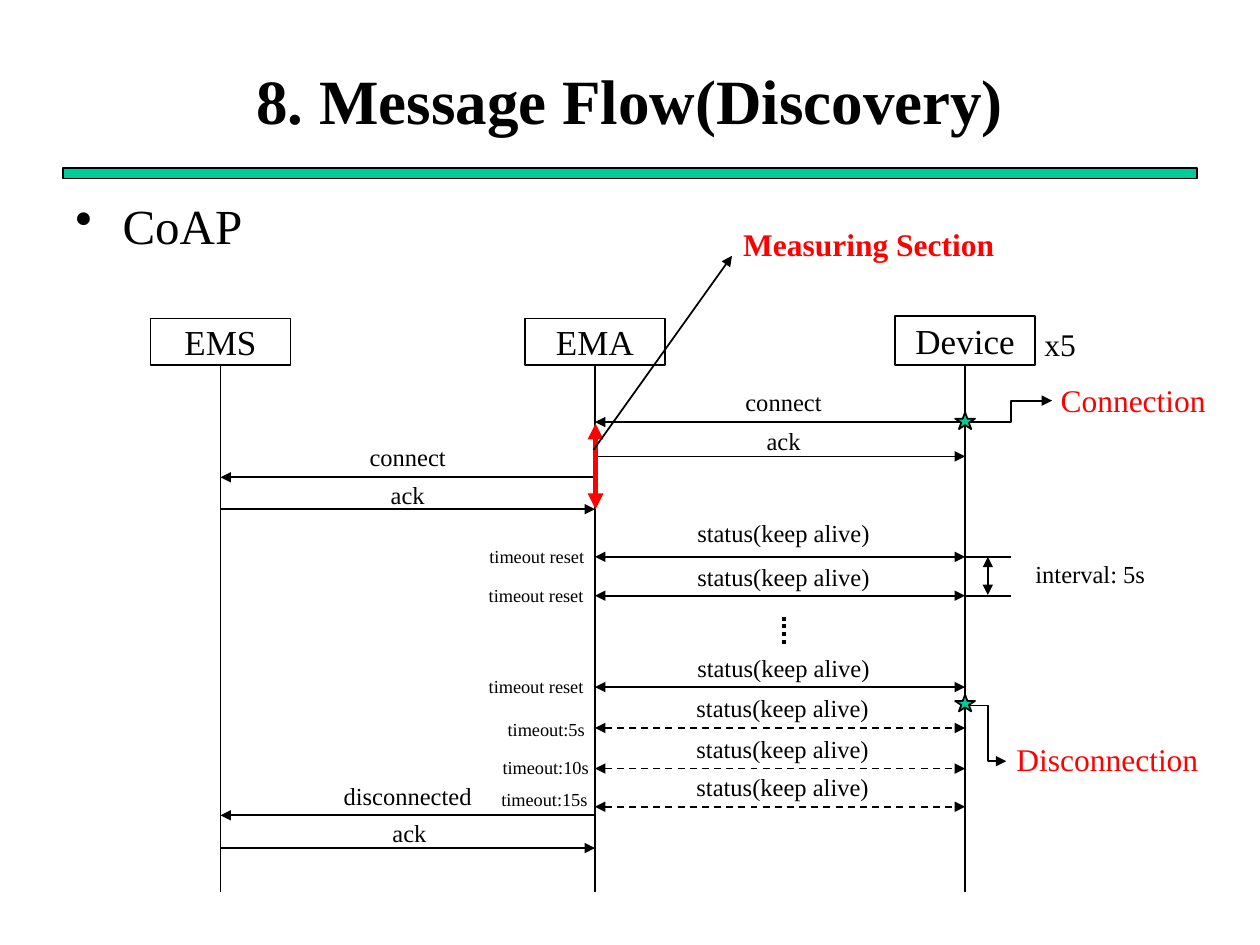
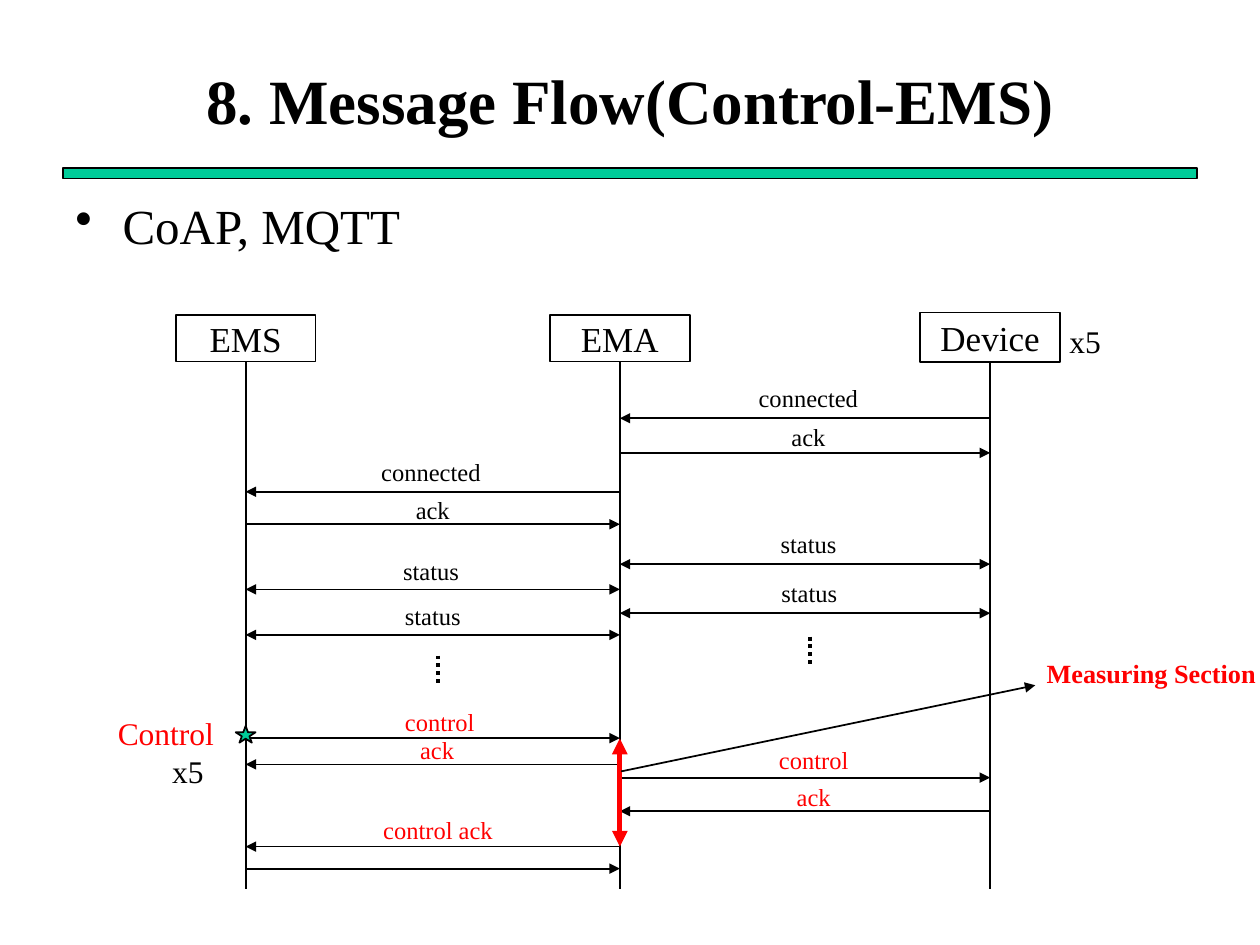
from lxml import etree
from pptx import Presentation
from pptx.dml.color import RGBColor
from pptx.enum.dml import MSO_LINE
from pptx.enum.shapes import MSO_CONNECTOR, MSO_SHAPE
from pptx.enum.text import MSO_ANCHOR, MSO_AUTO_SIZE, PP_ALIGN
from pptx.oxml.ns import qn
from pptx.util import Pt

STRAIGHT, ELBOW = MSO_CONNECTOR.STRAIGHT, MSO_CONNECTOR.ELBOW
DASH, DOTS = MSO_LINE.DASH, MSO_LINE.ROUND_DOT
RECTANGLE, STAR = MSO_SHAPE.RECTANGLE, MSO_SHAPE.STAR_5_POINT
LEFT, CENTER = PP_ALIGN.LEFT, PP_ALIGN.CENTER
MIDDLE, FIT_TEXT = MSO_ANCHOR.MIDDLE, MSO_AUTO_SIZE.SHAPE_TO_FIT_TEXT

FONT = "Times New Roman"
BLACK, WHITE, RED, GREEN = "000000", "FFFFFF", "FF0000", "00CC99"

# Line styles: colour, width, dash, arrow at start, arrow at end
LINE_STYLES = {
    "plain": (BLACK, 1, None, False, False),
    "one way": (BLACK, 1, None, False, True),
    "both ways": (BLACK, 1, None, True, True),
    "lost": (BLACK, 1, DASH, True, True),
    "more": (BLACK, 2.25, DOTS, False, False),
    "measured": (RED, 3, None, True, True),
}

# Actors: name, top and height of the box, fill
ACTORS = [("EMS", 182, 26.6, None), ("EMA", 182, 26.6, None), ("Device", 180.6, 28.2, WHITE)]
EMS, EMA, DEVICE = range(3)
ACTOR_WIDTH = 80
LIFELINE_TOP, LIFELINE_BOTTOM = 208.8, 510
LABEL_WIDTHS = {
    "connect": 58.3, "connected": 72, "ack": 34.6, "status": 46.8, "status(keep alive)": 113.8,
    "disconnected": 88.6, "control": 54.7, "control ack": 77.8,
}

# Messages: sender, receiver, y, line style, label, label top, label colour, label shift
# Notes: text, left, top, width, height, size, colour, bold
DISCOVERY = {
    "title": "8. Message Flow(Discovery)",
    "protocols": "CoAP",
    "lifelines": (126, 340, 551.5),
    "rise": 0,
    "messages": [
        (DEVICE, EMA, 241.2, "one way", "connect", 217.4, BLACK, 2),
        (EMA, DEVICE, 260.8, "one way", "ack", 239.8, BLACK, 2),
        (EMA, EMS, 272.8, "one way", "connect", 249.1, BLACK, 0),
        (EMS, EMA, 291, "one way", "ack", 270.7, BLACK, 0),
        (EMA, DEVICE, 318.2, "both ways", "status(keep alive)", 292.3, BLACK, 2),
        (EMA, DEVICE, 340.4, "both ways", "status(keep alive)", 317.5, BLACK, 2),
        (EMA, DEVICE, 392.6, "both ways", "status(keep alive)", 369.4, BLACK, 2),
        (EMA, DEVICE, 416, "lost", "status(keep alive)", 392.4, BLACK, 1.5),
        (EMA, DEVICE, 439.2, "lost", "status(keep alive)", 416, BLACK, 1.5),
        (EMA, DEVICE, 461, "lost", "status(keep alive)", 437.8, BLACK, 1.5),
        (EMA, EMS, 465.9, "one way", "disconnected", 442.8, BLACK, 0),
        (EMS, EMA, 484.6, "one way", "ack", 463.7, BLACK, 1),
    ],
    "lines": [
        ("plain", 551.5, 318.2, 577.6, 318.2),
        ("plain", 551.5, 340.4, 577.6, 340.4),
        ("both ways", 564.5, 318.2, 564.5, 340),
        ("more", 447.8, 352.4, 447.8, 369),
        ("measured", 340.3, 242, 340.3, 291),
        ("one way", 339.2, 257, 418.3, 146.2),
    ],
    "elbows": [(554.4, 241.2, 601.2, 229), (554, 403.2, 575, 435)],
    "stars": [(551.5, 240.4), (551.5, 401.7)],
    "notes": [
        ("x5", 589.7, 182.2, 32.4, 29, 18, BLACK, False),
        ("Connection", 599, 214, 98.6, 29, 18, RED, False),
        ("Disconnection", 573.8, 419.4, 119.5, 29, 18, RED, False),
        ("Measuring Section", 417.6, 125.3, 159, 29, 18, RED, True),
        ("interval: 5s", 584.6, 315.6, 77.8, 24.4, 14, BLACK, False),
        ("timeout reset", 272.6, 308.2, 72, 20.5, 10.5, BLACK, False),
        ("timeout reset", 272.2, 330, 72, 20.5, 10.5, BLACK, False),
        ("timeout reset", 272.2, 382.5, 72, 20.5, 10.5, BLACK, False),
        ("timeout:5s", 283, 406.8, 59, 20.5, 10.5, BLACK, False),
        ("timeout:10s", 280.1, 428.4, 64, 20.5, 10.5, BLACK, False),
        ("timeout:15s", 279.4, 447, 64, 20.5, 10.5, BLACK, False),
    ],
}

CONTROL = {
    "title": "8. Message Flow(Control-EMS)",
    "protocols": "CoAP, MQTT",
    "lifelines": (140.4, 354.2, 565.8),
    "rise": 2,
    "messages": [
        (DEVICE, EMA, 239, "one way", "connected", 215.3, BLACK, 2),
        (EMA, DEVICE, 258.8, "one way", "ack", 237.6, BLACK, 2),
        (EMA, EMS, 281, "one way", "connected", 257.8, BLACK, -1),
        (EMS, EMA, 299.6, "one way", "ack", 279.2, BLACK, 0),
        (EMA, DEVICE, 322.4, "both ways", "status", 298.8, BLACK, 2),
        (EMS, EMA, 336.8, "both ways", "status", 313.9, BLACK, -1),
        (EMA, DEVICE, 350.4, "both ways", "status", 326.9, BLACK, 2.5),
        (EMS, EMA, 362.8, "both ways", "status", 339.8, BLACK, 0),
        (EMS, EMA, 421.8, "one way", "control", 400.3, RED, 4),
        (EMA, EMS, 436.8, "one way", "ack", 416.2, RED, 2.5),
        (EMA, DEVICE, 444.4, "one way", "control", 422, RED, 5),
        (DEVICE, EMA, 463.6, "one way", "ack", 443.5, RED, 5),
        (EMA, EMS, 483.8, "one way", "control ack", 462.2, RED, 3),
        (EMS, EMA, 496.4, "one way", None, None, None, 0),
    ],
    "lines": [
        ("more", 463, 363.8, 463, 380.8),
        ("more", 250.4, 374.6, 250.4, 391.6),
        ("measured", 354.2, 422, 354.2, 483.8),
        ("one way", 355, 440.8, 591.6, 391.6),
    ],
    "elbows": [],
    "stars": [(140.4, 419.6)],
    "notes": [
        ("x5", 604, 180.3, 32.4, 29, 18, BLACK, False),
        ("Control", 60.2, 404.2, 70, 29, 18, RED, False),
        ("x5", 91.3, 426.3, 32.4, 29, 18, BLACK, False),
        ("Measuring Section", 591, 372.2, 135.4, 25.2, 15, RED, True),
    ],
}


def rgb(value):
    return RGBColor.from_string(value)


def style_paragraph(frame, text, size, color=BLACK, bold=False, align=LEFT):
    paragraph = frame.paragraphs[0]
    paragraph.text = text
    paragraph.alignment = align
    font = paragraph.font
    font.name, font.size, font.bold = FONT, Pt(size), bold
    font.color.rgb = rgb(color)
    return paragraph


def add_text(slide, text, left, top, width, height, size, color=BLACK, bold=False, align=LEFT):
    """One-line text whose box fits its words."""
    frame = slide.shapes.add_textbox(Pt(left), Pt(top), Pt(width), Pt(height)).text_frame
    frame.word_wrap = False
    frame.auto_size = FIT_TEXT
    style_paragraph(frame, text, size, color, bold, align)


def add_outlined(slide, preset, left, top, width, height, fill, line_width=1):
    shape = slide.shapes.add_shape(preset, Pt(left), Pt(top), Pt(width), Pt(height))
    shape.shadow.inherit = False
    if fill:
        shape.fill.solid()
        shape.fill.fore_color.rgb = rgb(fill)
    else:
        shape.fill.background()
    shape.line.color.rgb = rgb(BLACK)
    shape.line.width = Pt(line_width)
    return shape


def add_line(slide, style, x1, y1, x2, y2, route=STRAIGHT):
    color, width, dash, start_arrow, end_arrow = LINE_STYLES[style]
    connector = slide.shapes.add_connector(route, Pt(x1), Pt(y1), Pt(x2), Pt(y2))
    line = connector.line
    line.color.rgb = rgb(color)
    line.width = Pt(width)
    if dash:
        line.dash_style = dash
    properties = connector._element.spPr
    outline = properties.find(qn("a:ln"))
    for tag, wanted in (("a:headEnd", start_arrow), ("a:tailEnd", end_arrow)):
        if wanted:
            etree.SubElement(outline, qn(tag), type="triangle")
    etree.SubElement(properties, qn("a:effectLst"))


def add_heading(slide, title, protocols):
    """Green band, slide title and the bulleted list of protocols."""
    add_outlined(slide, RECTANGLE, 36, 96, 648, 6, GREEN, 0.75)

    title_frame = slide.shapes.add_textbox(Pt(36), Pt(24), Pt(648), Pt(66)).text_frame
    title_frame.word_wrap = True
    title_frame.vertical_anchor = MIDDLE
    style_paragraph(title_frame, title, 36, bold=True, align=CENTER)

    body_frame = slide.shapes.add_textbox(Pt(36), Pt(108), Pt(648), Pt(390)).text_frame
    body_frame.word_wrap = True
    paragraph = style_paragraph(body_frame, protocols, 28)
    paragraph.space_before = Pt(5.6)
    properties = paragraph._p.get_or_add_pPr()
    properties.set("marL", str(Pt(27)))
    properties.set("indent", str(-Pt(27)))
    etree.SubElement(properties, qn("a:buChar"), char="•")
    # The bullet has to come before the paragraph's default run properties
    defaults = properties.find(qn("a:defRPr"))
    if defaults is not None:
        properties.append(defaults)


def add_actors(slide, lifelines, rise):
    for x, (name, top, height, fill) in zip(lifelines, ACTORS):
        add_line(slide, "plain", x, LIFELINE_TOP - rise, x, LIFELINE_BOTTOM - rise)
        box = add_outlined(slide, RECTANGLE, x - ACTOR_WIDTH / 2, top - rise,
                           ACTOR_WIDTH, height, fill)
        box.text_frame.word_wrap = False
        box.text_frame.vertical_anchor = MIDDLE
        style_paragraph(box.text_frame, name, 20, align=CENTER)


def add_message(slide, lifelines, sender, receiver, y, style, label, label_top, color, shift):
    start, end = lifelines[sender], lifelines[receiver]
    add_line(slide, style, start, y, end, y)
    if label:
        width = LABEL_WIDTHS[label]
        left = (start + end - width) / 2 + shift
        add_text(slide, label, left, label_top, width, 24.4, 14, color, align=CENTER)


def add_flow(presentation, flow):
    slide = presentation.slides.add_slide(presentation.slide_layouts[6])
    add_heading(slide, flow["title"], flow["protocols"])
    add_actors(slide, flow["lifelines"], flow["rise"])
    for message in flow["messages"]:
        add_message(slide, flow["lifelines"], *message)
    for x, y in flow["stars"]:
        add_outlined(slide, STAR, x - 5.7, y - 4.8, 11.4, 9.6, GREEN)
    for line in flow["lines"]:
        add_line(slide, *line)
    for ends in flow["elbows"]:
        add_line(slide, "one way", *ends, route=ELBOW)
    for note in flow["notes"]:
        add_text(slide, *note)


def main():
    presentation = Presentation()
    presentation.slide_width, presentation.slide_height = Pt(720), Pt(540)
    for flow in (DISCOVERY, CONTROL):
        add_flow(presentation, flow)
    presentation.save("out.pptx")


if __name__ == "__main__":
    main()
